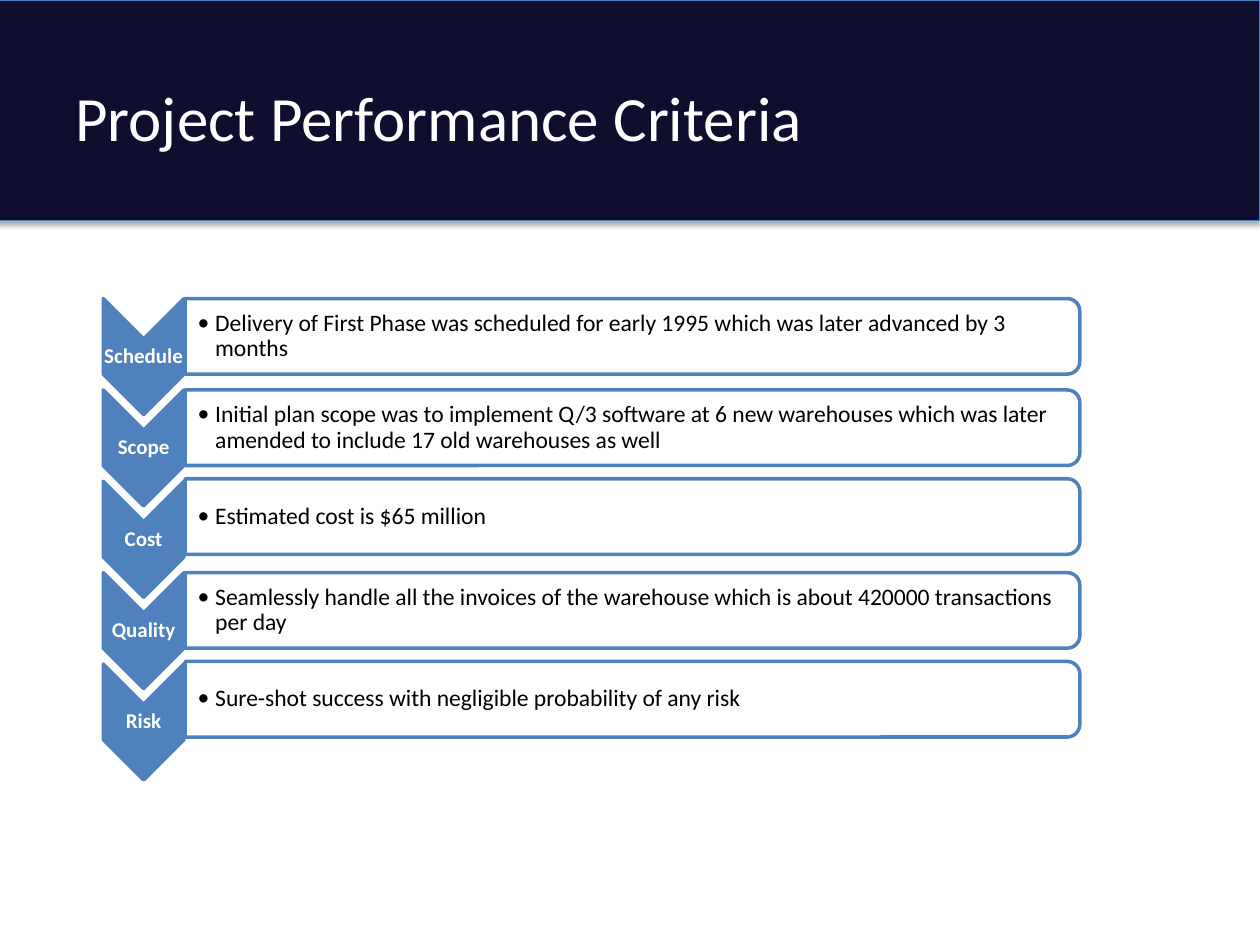
from dataclasses import dataclass

from lxml.etree import SubElement
from pptx import Presentation
from pptx.dml.color import RGBColor
from pptx.enum.shapes import MSO_SHAPE
from pptx.enum.text import MSO_ANCHOR, PP_ALIGN
from pptx.oxml.ns import qn
from pptx.util import Inches, Pt


@dataclass(frozen=True)
class Theme:
    font: str = "Calibri"
    navy: str = "100E2F"
    edge: str = "4B7EBC"
    blue: str = "4F81BD"
    white: str = "FFFFFF"
    black: str = "000000"
    title_size: float = 36
    label_size: float = 12
    body_size: float = 13.5
    edge_width: float = 0.75
    outline_width: float = 2


@dataclass(frozen=True)
class Box:
    """A rectangle in inches."""
    left: float
    top: float
    width: float
    height: float

    def inset(self, across, down):
        return Box(self.left + across, self.top + down,
                   self.width - 2 * across, self.height - 2 * down)

    def turned(self):
        """The box that covers this one after a quarter turn."""
        return Box(self.left + (self.width - self.height) / 2,
                   self.top + (self.height - self.width) / 2,
                   self.height, self.width)

    def lengths(self):
        return [Inches(n) for n in (self.left, self.top, self.width, self.height)]


THEME = Theme()
SLIDE = Box(0, 0, 10, 7.5)
HEADER = Box(-0.04, 0, 10.04, 1.75)
CRITERIA = Box(0.82, 2.37, 7.75, 3.82)
ROW_PITCH = 0.725
CHEVRON_WIDTH, CHEVRON_HEIGHT = 0.64, 0.92
LABEL_OVERHANG = 0.04
BAR_HEIGHT = 0.6
SHORT_ROW_LIFT = 0.02

# Label, description, and whether the description takes a single line
ROWS = [
    ("Schedule", "Delivery of First Phase was scheduled for early 1995 "
                 "which was later advanced by 3 months", False),
    ("Scope", "Initial plan scope was to implement Q/3 software at 6 new warehouses "
              "which was later amended to include 17 old warehouses as well", False),
    ("Cost", "Estimated cost is $65 million", True),
    ("Quality", "Seamlessly handle all the invoices of the warehouse "
                "which is about 420000 transactions per day", False),
    ("Risk", "Sure-shot success with negligible probability of any risk", True),
]


def add_panel(slide, preset, box, fill, line, line_width):
    shape = slide.shapes.add_shape(preset, *box.lengths())
    shape.shadow.inherit = False
    shape.fill.solid()
    shape.fill.fore_color.rgb = RGBColor.from_string(fill)
    shape.line.color.rgb = RGBColor.from_string(line)
    shape.line.width = Pt(line_width)
    return shape


def add_text(slide, box, text, size, color, margins=(0.01, 0.01), bold=False):
    """Add vertically centred text; margins are the left one and all others."""
    text_box = slide.shapes.add_textbox(*box.lengths())
    frame = text_box.text_frame
    frame.word_wrap = True
    frame.vertical_anchor = MSO_ANCHOR.MIDDLE
    frame.margin_left = Inches(margins[0])
    frame.margin_right = frame.margin_top = frame.margin_bottom = Inches(margins[1])
    frame.text = text
    paragraph = frame.paragraphs[0]
    font = paragraph.runs[0].font
    font.name, font.size, font.bold = THEME.font, Pt(size), bold
    font.color.rgb = RGBColor.from_string(color)
    return paragraph


def add_soft_shadow(shape):
    effects = shape.element.spPr.find(qn("a:effectLst"))
    shadow = SubElement(effects, qn("a:outerShdw"), blurRad=str(Pt(3.1)),
                        dist=str(Pt(1.8)), dir="5400000", rotWithShape="0")
    color = SubElement(shadow, qn("a:srgbClr"), val=THEME.black)
    SubElement(color, qn("a:alpha"), val="35000")


def add_header(slide, box, title):
    band = add_panel(slide, MSO_SHAPE.RECTANGLE, box, THEME.navy, THEME.edge,
                     THEME.edge_width)
    add_soft_shadow(band)
    title_box = Box(SLIDE.width * 0.05, SLIDE.height * 0.04,
                    SLIDE.width * 0.9, SLIDE.height / 6)
    add_text(slide, title_box, title, THEME.title_size, THEME.white, (0.1, 0.05))


def add_chevron(slide, box, label):
    chevron = add_panel(slide, MSO_SHAPE.CHEVRON, box.turned(), THEME.blue,
                        THEME.blue, THEME.outline_width)
    chevron.rotation = 90
    notch = box.width / 2
    paragraph = add_text(slide, box.inset(-LABEL_OVERHANG, notch), label,
                         THEME.label_size, THEME.white, bold=True)
    paragraph.alignment = PP_ALIGN.CENTER
    paragraph.line_spacing = 0.9


def add_bar(slide, box, description):
    bar = add_panel(slide, MSO_SHAPE.ROUND_2_SAME_RECTANGLE, box.turned(),
                    THEME.white, THEME.blue, THEME.outline_width)
    bar.rotation = 90
    fill_color = bar.element.spPr.find(qn("a:solidFill"))[0]
    SubElement(fill_color, qn("a:alpha"), val="90000")

    paragraph = add_text(slide, box.inset(0, 0.03), description, THEME.body_size,
                         THEME.black, (0.1, 0.01))
    paragraph.line_spacing = 0.9
    properties = paragraph._p.get_or_add_pPr()
    properties.set("marL", str(Inches(0.14)))
    properties.set("indent", str(Inches(-0.14)))
    SubElement(properties, qn("a:buFont"), typeface=THEME.font)
    SubElement(properties, qn("a:buChar"), char="•")


def add_criteria(slide, box, rows):
    bar_left = box.left + CHEVRON_WIDTH + 0.01
    bar_width = box.left + box.width - bar_left
    for index, (label, description, short) in enumerate(rows):
        top = box.top + index * ROW_PITCH
        add_chevron(slide, Box(box.left, top, CHEVRON_WIDTH, CHEVRON_HEIGHT), label)
        bar_top = top - SHORT_ROW_LIFT if short else top
        add_bar(slide, Box(bar_left, bar_top, bar_width, BAR_HEIGHT), description)


def main():
    presentation = Presentation()
    presentation.slide_width = Inches(SLIDE.width)
    presentation.slide_height = Inches(SLIDE.height)
    slide = presentation.slides.add_slide(presentation.slide_layouts[6])
    add_header(slide, HEADER, "Project Performance Criteria")
    add_criteria(slide, CRITERIA, ROWS)
    presentation.save("out.pptx")


if __name__ == "__main__":
    main()
